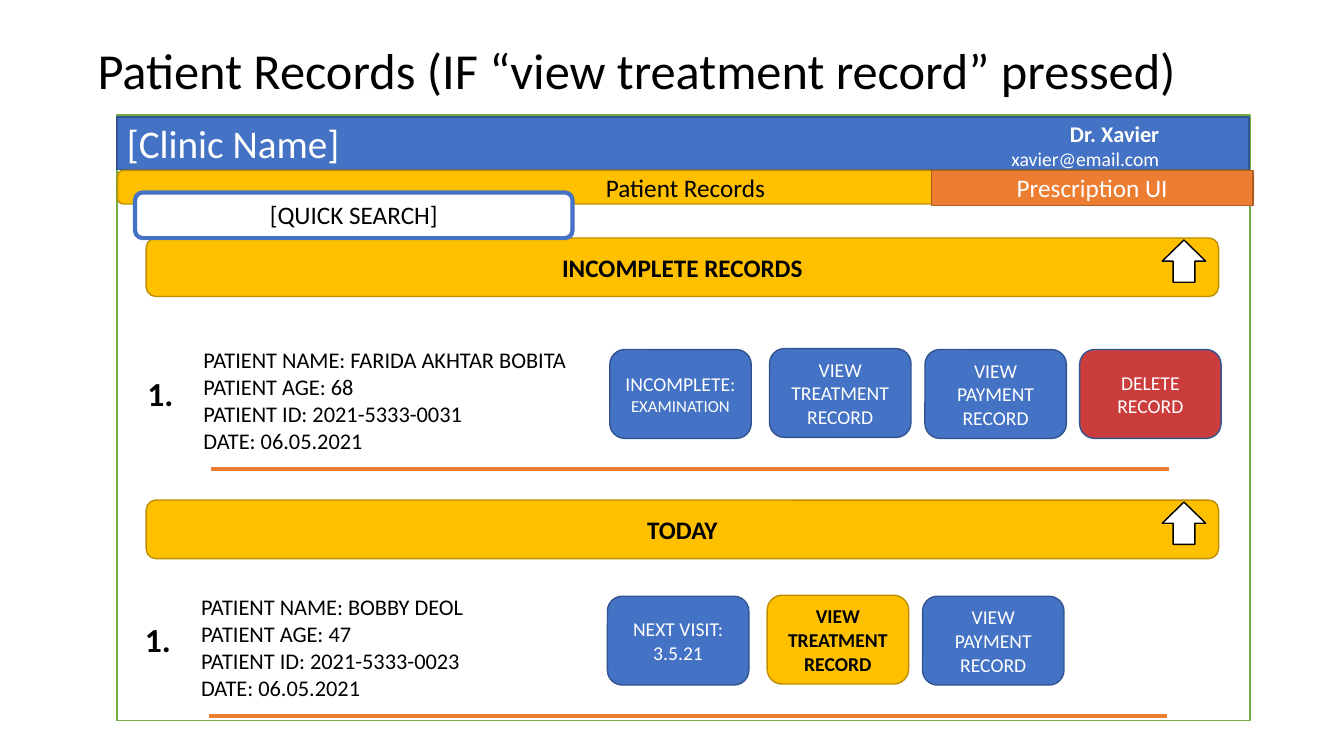
import pptx
import pptx.util
import pptx.dml.color
import pptx.enum.shapes
import pptx.enum.text
import pptx.oxml.ns
from lxml import etree

Pt = pptx.util.Pt
RGB = pptx.dml.color.RGBColor
SHAPE = pptx.enum.shapes.MSO_SHAPE
ALIGN = pptx.enum.text.PP_ALIGN
ANCHOR = pptx.enum.text.MSO_ANCHOR

# Colours
BLACK, WHITE = RGB(0, 0, 0), RGB(255, 255, 255)
BLUE, BLUE_EDGE = RGB(0x44, 0x72, 0xC4), RGB(0x32, 0x54, 0x91)
GOLD, GOLD_EDGE = RGB(0xFF, 0xC0, 0x00), RGB(0xBD, 0x8E, 0x00)
ORANGE, ORANGE_EDGE = RGB(0xED, 0x7D, 0x31), RGB(0xAF, 0x5C, 0x24)
GREEN, RED = RGB(0x70, 0xAD, 0x47), RGB(0xCB, 0x3D, 0x3D)

# Content
TITLE = "Patient Records (IF “view treatment record” pressed)"
CLINIC = "[Clinic Name]"
DOCTOR, EMAIL = "Dr. Xavier", "xavier@email.com"
TAB, NEXT_TAB = "Patient Records", "Prescription UI"
SEARCH = "[QUICK SEARCH]"
PLAIN = (BLUE, BLUE_EDGE, WHITE, False)
ACTIVE = (GOLD, GOLD_EDGE, BLACK, True)
DANGER = (RED, BLUE_EDGE, WHITE, False)
TREATMENT, PAYMENT = "VIEW TREATMENT RECORD", "VIEW PAYMENT RECORD"
SECTIONS = [
    {"heading": "INCOMPLETE RECORDS", "bar_top": 170, "left": 138.2, "top": 244,
     "details": ["PATIENT NAME: FARIDA AKHTAR BOBITA", "PATIENT AGE: 68",
                 "PATIENT ID: 2021-5333-0031", "DATE: 06.05.2021"],
     "buttons": [("INCOMPLETE: ", "EXAMINATION", PLAIN), (TREATMENT, "", PLAIN),
                 (PAYMENT, "", PLAIN), ("DELETE RECORD", "", DANGER)]},
    {"heading": "TODAY", "bar_top": 357.2, "left": 136.5, "top": 420.2,
     "details": ["PATIENT NAME: BOBBY DEOL", "PATIENT AGE: 47",
                 "PATIENT ID: 2021-5333-0023", "DATE: 06.05.2021"],
     "buttons": [("NEXT VISIT:\n3.5.21", "", PLAIN), (TREATMENT, "", ACTIVE),
                 (PAYMENT, "", PLAIN)]},
]

# Button offsets from the top left corner of the patient details
BUTTON_OFFSETS = [(297.4, 5.7), (411.5, 5), (522.5, 5.7), (633, 5.7)]
BUTTON_W, BUTTON_H = 101, 63.4

prs = pptx.Presentation()
prs.slide_width, prs.slide_height = Pt(960), Pt(540)
s = prs.slides.add_slide(prs.slide_layouts[6])


def style_run(r, size, color, bold):
    r.font.name = "Calibri"
    r.font.size = Pt(size)
    r.font.bold = bold
    r.font.color.rgb = color


def write(sp, text, size, color=BLACK, bold=False, align=ALIGN.LEFT, anchor=ANCHOR.TOP):
    tf = sp.text_frame
    tf.word_wrap = True
    tf.vertical_anchor = anchor
    tf.text = text
    for p in tf.paragraphs:
        p.alignment = align
        for r in p.runs:
            style_run(r, size, color, bold)
    return tf


def box(kind, x, y, w, h, fill, edge=None, edge_width=1):
    sp = s.shapes.add_shape(kind, Pt(x), Pt(y), Pt(w), Pt(h))
    sp.shadow.inherit = False
    sp.fill.solid()
    sp.fill.fore_color.rgb = fill
    if edge is None:
        sp.line.fill.background()
    else:
        sp.line.color.rgb = edge
        sp.line.width = Pt(edge_width)
    return sp


def label(x, y, w, h):
    return s.shapes.add_textbox(Pt(x), Pt(y), Pt(w), Pt(h))


def divider(x, y, w):
    line = s.shapes.add_connector(pptx.enum.shapes.MSO_CONNECTOR.STRAIGHT,
                                  Pt(x), Pt(y), Pt(x + w), Pt(y))
    line.line.color.rgb = ORANGE
    line.line.width = Pt(3)
    etree.SubElement(line._element.spPr, pptx.oxml.ns.qn("a:effectLst"))


def section_bar(heading, top):
    bar = box(SHAPE.ROUNDED_RECTANGLE, 104.4, top, 766, 41.8, GOLD, GOLD_EDGE)
    write(bar, heading, 18, BLACK, True, ALIGN.CENTER, ANCHOR.MIDDLE)
    arrow = box(SHAPE.DOWN_ARROW, 830.2, top + 1.4, 31, 30.2, WHITE, BLACK)
    arrow.rotation = 180


def record(left, top, details, buttons):
    number = box(SHAPE.ROUNDED_RECTANGLE, left - 42, top + 16.6, 49, 40.3, WHITE)
    write(number, "1.", 24, BLACK, True)
    write(label(left, top, 334, 85), "\n".join(details), 16)
    for (text, small, look), (dx, dy) in zip(buttons, BUTTON_OFFSETS):
        fill, edge, color, bold = look
        button = box(SHAPE.ROUNDED_RECTANGLE, left + dx, top + dy,
                     BUTTON_W, BUTTON_H, fill, edge)
        tf = write(button, text, 14, color, bold, ALIGN.CENTER, ANCHOR.MIDDLE)
        if small:
            r = tf.paragraphs[0].add_run()
            r.text = small
            style_run(r, 12, color, bold)
    divider(left + 12.8, top + 91.3, 684)


# Title
tf = write(label(62.6, 0, 897, 104.4), TITLE, 36, anchor=ANCHOR.MIDDLE)
tf.paragraphs[0].line_spacing = 0.9

# Window frame and header
box(SHAPE.RECTANGLE, 83.5, 82, 809.3, 432.7, WHITE, GREEN)
header = box(SHAPE.RECTANGLE, 83.5, 83.5, 808.6, 37.4, BLUE, BLUE_EDGE)
write(header, CLINIC, 28, WHITE, anchor=ANCHOR.MIDDLE)
tf = write(label(689, 82, 146.2, 44), DOCTOR + "\n" + EMAIL, 16, WHITE, True, ALIGN.RIGHT)
style_run(tf.paragraphs[1].runs[0], 14, WHITE, False)

# Tabs
tab = box(SHAPE.ROUNDED_RECTANGLE, 84, 121.7, 811.4, 24, GOLD, GOLD_EDGE)
write(tab, TAB, 18, BLACK, False, ALIGN.CENTER, ANCHOR.MIDDLE)
tab = box(SHAPE.RECTANGLE, 665.3, 121.7, 229.7, 25, ORANGE, ORANGE_EDGE)
write(tab, NEXT_TAB, 18, WHITE, False, ALIGN.CENTER, ANCHOR.MIDDLE)

# Sections with their records
for section in SECTIONS:
    section_bar(section["heading"], section["bar_top"])
    record(section["left"], section["top"], section["details"], section["buttons"])

# Search field, lying over the first section bar
search = box(SHAPE.ROUNDED_RECTANGLE, 96.5, 137.5, 312.5, 32.6, WHITE, BLUE, 3)
write(search, SEARCH, 18, align=ALIGN.CENTER)

prs.save("out.pptx")
